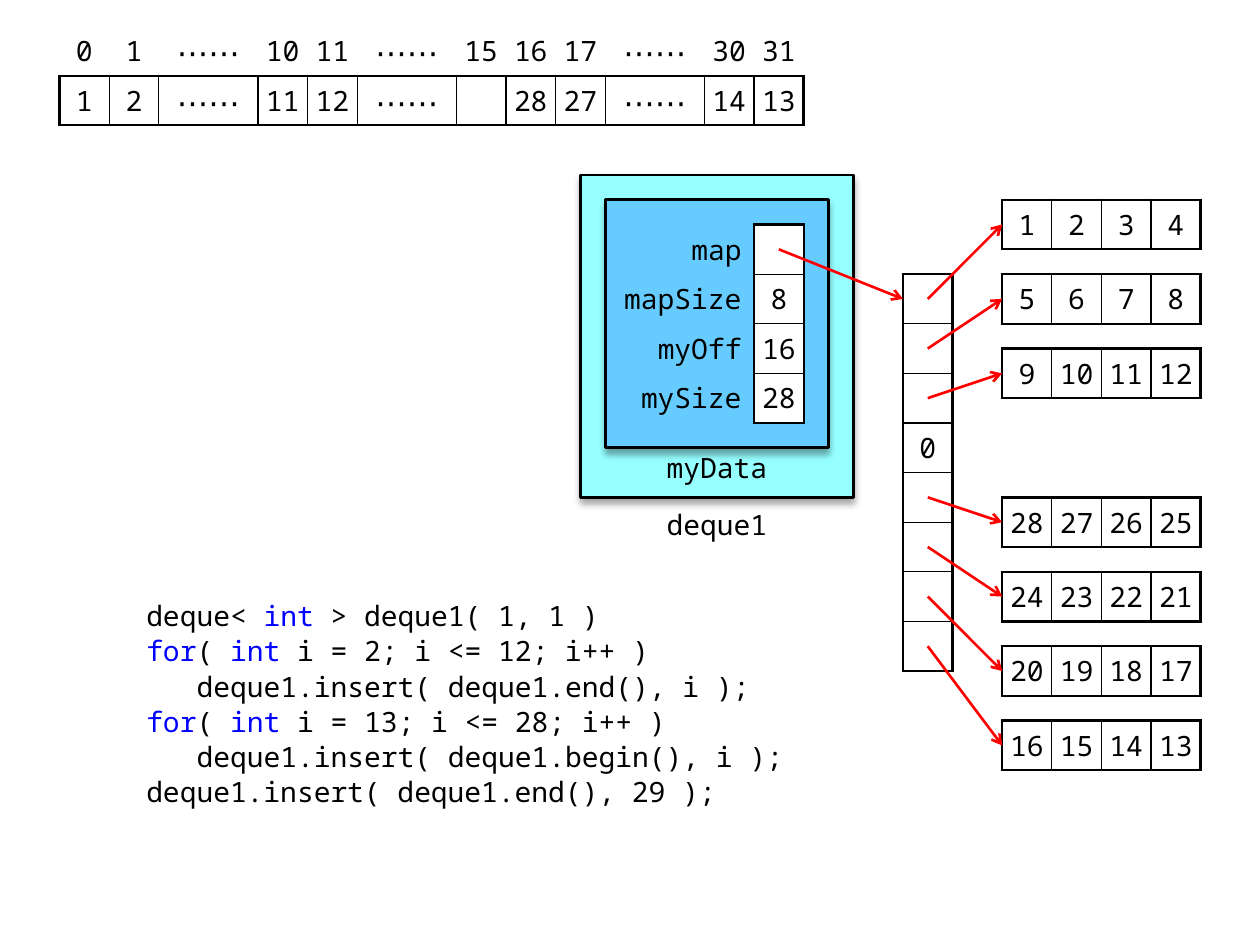
from lxml import etree
from pptx import Presentation
from pptx.dml.color import RGBColor
from pptx.enum.shapes import MSO_CONNECTOR, MSO_SHAPE
from pptx.enum.text import MSO_ANCHOR, PP_ALIGN
from pptx.oxml.ns import qn
from pptx.util import Pt

PROCESS = MSO_SHAPE.FLOWCHART_PROCESS
STRAIGHT = MSO_CONNECTOR.STRAIGHT
TOP, MIDDLE = MSO_ANCHOR.TOP, MSO_ANCHOR.MIDDLE
CENTER, RIGHT = PP_ALIGN.CENTER, PP_ALIGN.RIGHT

# Content
DOTS = "⋯⋯"
INDEXED = [
    ["0", "1", DOTS, "10", "11", DOTS, "15", "16", "17", DOTS, "30", "31"],
    ["1", "2", DOTS, "11", "12", DOTS, "", "28", "27", DOTS, "14", "13"],
]
MEMBERS = [["map", ""], ["mapSize", "8"], ["myOff", "16"], ["mySize", "28"]]
BLOCKS = [
    ["1", "2", "3", "4"],
    ["5", "6", "7", "8"],
    ["9", "10", "11", "12"],
    None,
    ["28", "27", "26", "25"],
    ["24", "23", "22", "21"],
    ["20", "19", "18", "17"],
    ["16", "15", "14", "13"],
]
# Panels and labels: place in grid units
PANELS = [(11.5, 3.5, 5.5, 6.5, "cyan"), (12, 4, 4.5, 5, "blue")]
LABELS = [("deque1", 12.5, 10, 3.5, MIDDLE, 2.8), ("myData", 13, 9, 2.5, TOP, 1.4)]
KEYWORDS = ("for", "int")
CODE = [  # indent in characters, pieces of the line
    (0, ["deque< ", "int", " > deque1( 1, 1 )"]),
    (0, ["for", "( ", "int", " i = 2; i <= 12; i++ )"]),
    (3, ["deque1.insert( deque1.end(), i );"]),
    (0, ["for", "( ", "int", " i = 13; i <= 28; i++ )"]),
    (3, ["deque1.insert( deque1.begin(), i );"]),
    (0, ["deque1.insert( deque1.end(), 29 );"]),
]
COLORS = {"black": "000000", "white": "FFFFFF", "red": "FF0000",
          "keyword": "0000FF", "cyan": "96FFFF", "blue": "66CCFF"}
FONT = "Noto Sans Mono"
SIZE = 16
CHAR = 9.6           # width of one character
UNIT = 28.35         # side of one cell
LEFT, UPPER = 5.67, 0.72
THICK, THIN = 1.5, 0.75
NO_STYLE = "{2D5ABB26-0587-4C30-8999-92F81FD0307C}"
MAP_COL, MAP_ROW = 18, 5.5
BLOCK_COL, BLOCK_ROW, BLOCK_STEP = 20, 4, 1.5
MEMBER_COL, MEMBER_ROW = 12, 4.5


def color(name):
    return RGBColor.from_string(COLORS[name])


def place(col, row):
    return Pt(LEFT + col * UNIT), Pt(UPPER + row * UNIT)


def area(col, row, width, height):
    return *place(col, row), Pt(width * UNIT), Pt(height * UNIT)


def set_font(font, size=SIZE):
    font.name, font.size = FONT, Pt(size)
    font.color.rgb = color("black")


def set_insets(target, side, top, bottom):
    target.margin_left = target.margin_right = Pt(side)
    target.margin_top, target.margin_bottom = Pt(top), Pt(bottom)


def add_border(cell, side, width):
    line = etree.SubElement(cell._tc.get_or_add_tcPr(), qn("a:" + side), w=str(Pt(width)))
    fill = etree.SubElement(line, qn("a:solidFill"))
    etree.SubElement(fill, qn("a:srgbClr"), val=COLORS["black"])


def add_grid(page, col, row, widths, rows, first_row=0, first_col=0):
    """Table whose box, starting at first_row and first_col, has ruled cells."""
    frame = page.shapes.add_table(len(rows), len(widths),
                                  *area(col, row, sum(widths), len(rows)))
    table = frame.table
    table.first_row = table.horz_banding = False
    table._tbl.tblPr.find(qn("a:tableStyleId")).text = NO_STYLE
    for column, width in zip(table.columns, widths):
        column.width = Pt(width * UNIT)

    def rule(edge, first, last):
        return THICK if edge in (first, last) else THIN if edge > first else 0

    for r, texts in enumerate(rows):
        table.rows[r].height = Pt(UNIT)
        for c, text in enumerate(texts):
            cell = table.cell(r, c)
            label = c < first_col
            boxed = r >= first_row and not label
            for side, edge in (("lnL", c), ("lnR", c + 1)):
                width = rule(edge, first_col, len(widths))
                if r >= first_row and width:
                    add_border(cell, side, width)
            for side, edge in (("lnT", r), ("lnB", r + 1)):
                width = rule(edge, first_row, len(rows))
                if not label and width:
                    add_border(cell, side, width)
            if boxed:
                cell.fill.solid()
                cell.fill.fore_color.rgb = color("white")
            else:
                cell.fill.background()
            set_insets(cell, 7.2 if label else 0, 2.8, 2.8)
            cell.vertical_anchor = MIDDLE
            para = cell.text_frame.paragraphs[0]
            para.alignment = RIGHT if label else CENTER
            set_font(para.font, 18 if text == DOTS else SIZE)
            if text:
                para.add_run().text = text


def add_panel(page, col, row, width, height, fill):
    panel = page.shapes.add_shape(PROCESS, *area(col, row, width, height))
    panel.fill.solid()
    panel.fill.fore_color.rgb = color(fill)
    panel.line.color.rgb = color("black")
    panel.line.width = Pt(THICK)
    panel.shadow.inherit = False
    effects = panel._element.spPr.find(qn("a:effectLst"))
    shadow = etree.SubElement(effects, qn("a:outerShdw"), blurRad=str(Pt(4)),
                              dist=str(Pt(3)), dir="5400000", rotWithShape="0")
    shade = etree.SubElement(shadow, qn("a:srgbClr"), val=COLORS["black"])
    etree.SubElement(shade, qn("a:alpha"), val="35000")


def add_label(page, text, col, row, width, anchor, top):
    box = page.shapes.add_textbox(*area(col, row, width, 1))
    frame = box.text_frame
    frame.vertical_anchor = anchor
    frame.word_wrap = True
    set_insets(frame, 5, top, 0)
    para = frame.paragraphs[0]
    para.text, para.alignment = text, CENTER
    set_font(para.font)


def add_arrow(page, start, end):
    arrow = page.shapes.add_connector(STRAIGHT, *place(*start), *place(*end))
    arrow.line.color.rgb = color("red")
    arrow.line.width = Pt(THICK)
    etree.SubElement(arrow.line._get_or_add_ln(), qn("a:tailEnd"), type="arrow")
    etree.SubElement(arrow._element.spPr, qn("a:effectLst"))


def add_code(page):
    frame = page.shapes.add_textbox(*area(2.5, 12, 13.5, 5.5)).text_frame
    frame.word_wrap = True
    for i, (indent, pieces) in enumerate(CODE):
        para = frame.add_paragraph() if i else frame.paragraphs[0]
        para.space_before, para.line_spacing = Pt(3), 0.89
        para._p.get_or_add_pPr().set("marL", str(Pt(indent * CHAR)))
        set_font(para.font)
        for piece in pieces:
            span = para.add_run()
            span.text = piece
            if piece in KEYWORDS:
                span.font.color.rgb = color("keyword")


def main():
    deck = Presentation()
    deck.slide_width, deck.slide_height = Pt(720), Pt(540)
    page = deck.slides.add_slide(deck.slide_layouts[6])

    # Code and the indexed row of values
    add_code(page)
    widths = [2 if text == DOTS else 1 for text in INDEXED[0]]
    add_grid(page, 1, 0.5, widths, INDEXED, first_row=1)

    # The deque object with its members
    for panel in PANELS:
        add_panel(page, *panel)
    for label in LABELS:
        add_label(page, *label)
    add_grid(page, MEMBER_COL, MEMBER_ROW, [3, 1], MEMBERS, first_col=1)

    # The map and the blocks it points to
    add_grid(page, MAP_COL, MAP_ROW, [1], [["" if block else "0"] for block in BLOCKS])
    for i, block in enumerate(BLOCKS):
        if block:
            row = BLOCK_ROW + i * BLOCK_STEP
            add_grid(page, BLOCK_COL, row, [1] * len(block), [block])
            add_arrow(page, (MAP_COL + 0.5, MAP_ROW + i + 0.5), (BLOCK_COL, row + 0.5))
    add_arrow(page, (MEMBER_COL + 3.5, MEMBER_ROW + 0.5), (MAP_COL, MAP_ROW + 0.5))

    deck.save("out.pptx")


if __name__ == "__main__":
    main()
